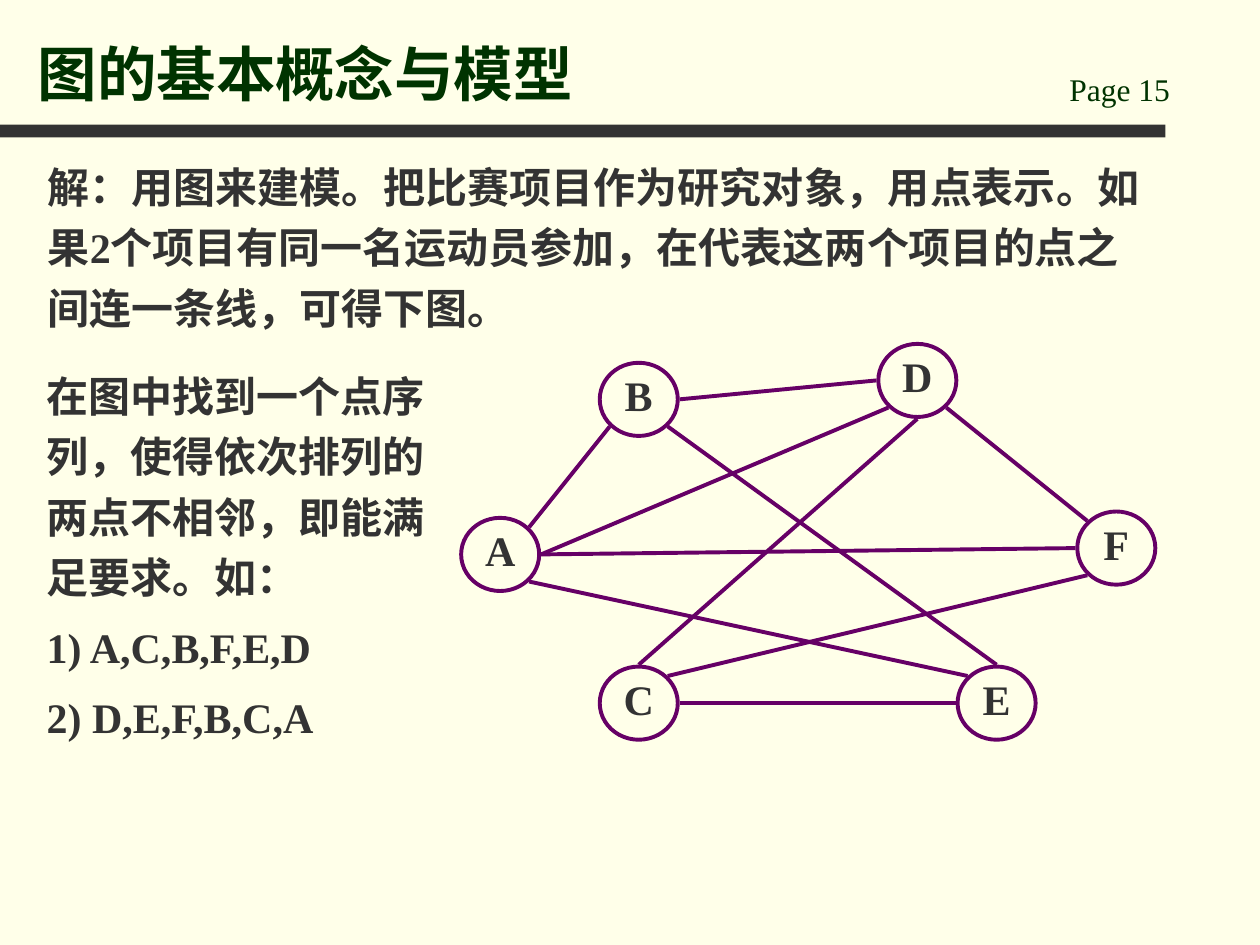
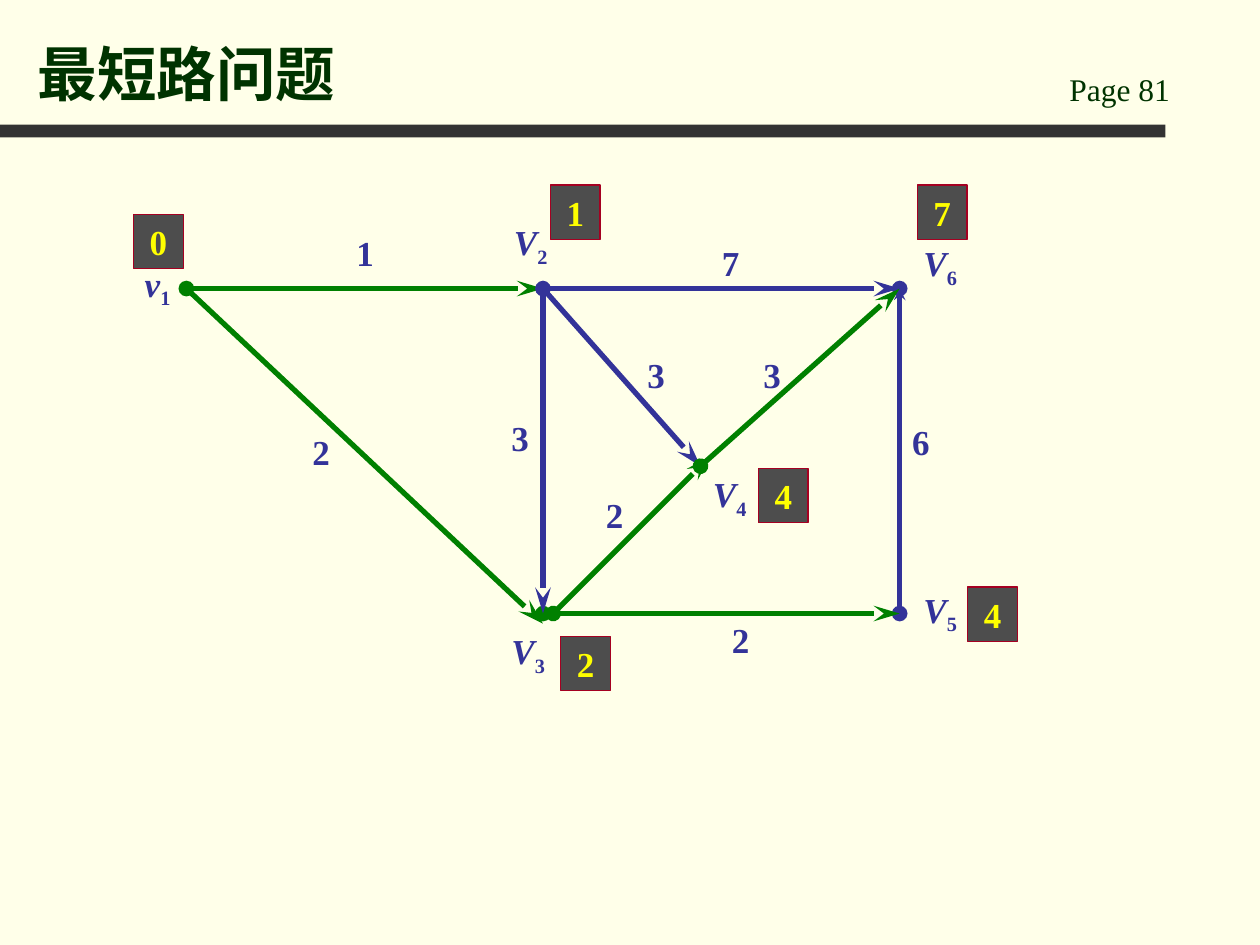
from dataclasses import dataclass
from math import cos, radians, sin
from typing import NamedTuple

from lxml.etree import SubElement
from pptx import Presentation
from pptx.dml.color import RGBColor
from pptx.enum.shapes import MSO_CONNECTOR, MSO_SHAPE
from pptx.enum.text import MSO_ANCHOR, MSO_AUTO_SIZE, PP_ALIGN
from pptx.oxml.ns import qn
from pptx.util import Pt

FONT = "Times New Roman"
CREAM = "FFFFE9"
CHARCOAL = "333333"
DARK_GREEN = "003300"
PURPLE = "660066"
GREEN = "008000"
INDIGO = "333399"
GREY = "4D4D4D"
CRIMSON = "A50021"
YELLOW = "FFFF00"

RIGHT, LOWER_RIGHT, BOTTOM, LOWER_LEFT = 0, 45, 90, 135
LEFT, UPPER_LEFT, TOP, UPPER_RIGHT = 180, 225, 270, 315


class Point(NamedTuple):
    x: float
    y: float


class Area(NamedTuple):
    left: float
    top: float
    width: float
    height: float

    def lengths(self):
        return [Pt(value) for value in self]


class Edge(NamedTuple):
    start: str
    start_angle: int
    end: str
    end_angle: int


@dataclass
class Arc:
    start: Point
    end: Point
    color: str
    head: str = "none"
    tail: str = "stealth"
    width: float = 3
    length: str = "lg"


class Vertex(NamedTuple):
    letter: str
    index: str
    left: float
    top: float


class Tag(NamedTuple):
    text: str
    left: float
    top: float


NODE_WIDTH, NODE_HEIGHT = 44.6, 41.8
EDGE_GAP = 1.05
EVENTS = {
    "A": Point(285.8, 316.8),
    "B": Point(365, 228.2),
    "C": Point(365, 401.8),
    "D": Point(524.2, 217.4),
    "E": Point(569.5, 401.8),
    "F": Point(637.9, 313.2),
}
SHARED_ATHLETES = [
    Edge("A", UPPER_RIGHT, "B", LOWER_LEFT),
    Edge("A", RIGHT, "D", LOWER_LEFT),
    Edge("A", LOWER_RIGHT, "E", UPPER_LEFT),
    Edge("B", RIGHT, "D", LEFT),
    Edge("D", LOWER_RIGHT, "F", UPPER_LEFT),
    Edge("D", BOTTOM, "C", TOP),
    Edge("B", LOWER_RIGHT, "E", TOP),
    Edge("C", UPPER_RIGHT, "F", LOWER_LEFT),
    Edge("C", RIGHT, "E", LEFT),
    Edge("A", RIGHT, "F", LEFT),
]

V1, V2, V6 = (Point(106.5 + 203.8 * column, 164.9) for column in range(3))
V3, V5 = Point(V2.x, 350.6), Point(V6.x, 350.6)
V4 = Point(400.3, 266.4)
ARCS = [
    Arc(V1, V2, GREEN, head="oval"),
    Arc(V2, V6, INDIGO, head="oval"),
    Arc(V6, V5, INDIGO, head="oval", tail="oval", length="med"),
    Arc(V5, V6, INDIGO, width=2.25, length="med"),
    Arc(V3, V5, GREEN, head="oval"),
    Arc(V2, V4, INDIGO),
    Arc(Point(V3.x + 5.8, V3.y), Point(V4.x + 5.8, V4.y - 5.8), GREEN, head="oval"),
    Arc(V4, V6, GREEN, head="oval"),
    Arc(V2, V3, INDIGO),
    Arc(V1, Point(V3.x, V3.y + 5.8), GREEN),
]
VERTICES = [
    Vertex("v", "1", 75.6, 146.2),
    Vertex("V", "2", 286.6, 122.4),
    Vertex("V", "3", 285.1, 356.4),
    Vertex("V", "4", 400.3, 266.4),
    Vertex("V", "6", 520.6, 134.6),
    Vertex("V", "5", 520.6, 332.6),
]
WEIGHTS = [
    Tag("3", 285.1, 234.7),
    Tag("2", 339.1, 278.6),
    Tag("2", 171.4, 242.6),
    Tag("7", 405.4, 134.6),
    Tag("6", 514.1, 236.9),
    Tag("2", 411.1, 349.9),
    Tag("1", 196.6, 128.9),
    Tag("3", 362.9, 198.7),
    Tag("3", 429.1, 198.7),
]
DISTANCES = [
    Tag("0", 76.3, 122.4),
    Tag("2", 320.4, 363.6),
    Tag("4", 553, 335.5),
    Tag("7", 524.2, 105.8),
    Tag("1", 314.6, 105.8),
    Tag("4", 433.4, 267.8),
]


def rgb(color: str) -> RGBColor:
    return RGBColor.from_string(color)


def write(frame, text, *, size=24, color=CHARCOAL, bold=True, italic=False,
          subscript="", align=PP_ALIGN.LEFT, anchor=MSO_ANCHOR.TOP,
          spacing=1.0, before=0.0, plain=False, wrap=True):
    frame.auto_size = MSO_AUTO_SIZE.NONE
    frame.word_wrap = wrap
    frame.vertical_anchor = anchor
    for number, line in enumerate(text.split("\n")):
        para = frame.add_paragraph() if number else frame.paragraphs[0]
        if plain:
            properties = para._p.get_or_add_pPr()
            properties.set("marL", "0")
            properties.set("indent", "0")
            SubElement(properties, qn("a:buNone"))
        para.alignment = align
        para.line_spacing = spacing
        para.space_before = Pt(before if number else 0)
        for content in filter(None, (line, subscript)):
            span = para.add_run()
            span.text = content
            span.font.name = FONT
            span.font.size = Pt(size)
            span.font.bold = bold
            span.font.italic = italic and content == line
            span.font.color.rgb = rgb(color)
            if content == subscript:
                span._r.get_or_add_rPr().set("baseline", "-25000")


def add_label(page, area: Area, text: str, **style):
    box = page.shapes.add_textbox(*area.lengths())
    write(box.text_frame, text, **style)


def add_figure(page, preset, area: Area, fill="", outline="", width=1.0):
    shape = page.shapes.add_shape(preset, *area.lengths())
    shape.shadow.inherit = False
    if fill:
        shape.fill.solid()
        shape.fill.fore_color.rgb = rgb(fill)
    else:
        shape.fill.background()
    if outline:
        shape.line.color.rgb = rgb(outline)
        shape.line.width = Pt(width)
    else:
        shape.line.fill.background()
    return shape


def add_line(page, arc: Arc):
    line = page.shapes.add_connector(
        MSO_CONNECTOR.STRAIGHT, *(Pt(value) for value in (*arc.start, *arc.end)))
    line.line.color.rgb = rgb(arc.color)
    line.line.width = Pt(arc.width)
    properties = line._element.spPr
    stroke = properties.find(qn("a:ln"))
    for name, kind in (("a:headEnd", arc.head), ("a:tailEnd", arc.tail)):
        if kind != "none":
            length = arc.length if kind == "stealth" else "med"
            SubElement(stroke, qn(name), type=kind, w="med", len=length)
    SubElement(properties, qn("a:effectLst"))


def place(shape, area: Area):
    shape.left, shape.top, shape.width, shape.height = area.lengths()


def add_page(deck, layout: int, title: str, number: int):
    page = deck.slides.add_slide(deck.slide_layouts[layout])
    place(page.shapes.title, Area(14.4, 9.4, 578.2, 56.2))
    write(page.shapes.title.text_frame, title, size=34, color=DARK_GREEN,
          anchor=MSO_ANCHOR.BOTTOM)
    add_figure(page, MSO_SHAPE.RECTANGLE, Area(0, 71.3, 666, 7.2), fill=CHARCOAL)
    add_label(page, Area(604, 36.7, 102, 29), f"Page {number}", size=18,
              color=DARK_GREEN, bold=False)
    return page


def edge_point(event: str, angle: int) -> Point:
    center = EVENTS[event]
    return Point(center.x + EDGE_GAP * NODE_WIDTH / 2 * cos(radians(angle)),
                 center.y + EDGE_GAP * NODE_HEIGHT / 2 * sin(radians(angle)))


def build_model_page(deck):
    page = add_page(deck, 1, "图的基本概念与模型", 15)
    body = page.placeholders[1]
    place(body, Area(20.2, 82.8, 640.8, 118.8))
    write(body.text_frame,
          "解：用图来建模。把比赛项目作为研究对象，用点表示。如果2个项目有同一名运动员参加，"
          "在代表这两个项目的点之间连一条线，可得下图。", spacing=1.2, plain=True)
    for name, center in EVENTS.items():
        area = Area(center.x - NODE_WIDTH / 2, center.y - NODE_HEIGHT / 2,
                    NODE_WIDTH, NODE_HEIGHT)
        node = add_figure(page, MSO_SHAPE.OVAL, area, outline=PURPLE, width=2.25)
        write(node.text_frame, name, align=PP_ALIGN.CENTER,
              anchor=MSO_ANCHOR.MIDDLE, spacing=0.8, wrap=False)
    for edge in SHARED_ATHLETES:
        add_line(page, Arc(edge_point(edge.start, edge.start_angle),
                           edge_point(edge.end, edge.end_angle),
                           PURPLE, tail="none", width=2.25))
    add_label(page, Area(19.6, 202.3, 244, 226),
              "在图中找到一个点序列，使得依次排列的两点不相邻，即能满足要求。如：\n"
              "1) A,C,B,F,E,D\n2) D,E,F,B,C,A", spacing=1.2, before=5.5)


def build_shortest_route_page(deck):
    page = add_page(deck, 5, "最短路问题", 81)
    for arc in ARCS:
        add_line(page, arc)
    for vertex in VERTICES:
        add_label(page, Area(vertex.left, vertex.top, 61.2, 30), vertex.letter,
                  size=20, color=INDIGO, italic=True, subscript=vertex.index)
    for weight in WEIGHTS:
        add_label(page, Area(weight.left, weight.top, 61.2, 30), weight.text,
                  size=20, color=INDIGO)
    for distance in DISTANCES:
        badge = add_figure(page, MSO_SHAPE.RECTANGLE,
                           Area(distance.left, distance.top, 28.4, 31),
                           fill=GREY, outline=CRIMSON, width=0.75)
        write(badge.text_frame, distance.text, size=20, color=YELLOW,
              align=PP_ALIGN.CENTER, wrap=False)


def main():
    deck = Presentation()
    deck.slide_width, deck.slide_height = Pt(720), Pt(540)
    background = deck.slide_master.background.fill
    background.solid()
    background.fore_color.rgb = rgb(CREAM)
    build_model_page(deck)
    build_shortest_route_page(deck)
    deck.save("out.pptx")


if __name__ == "__main__":
    main()
